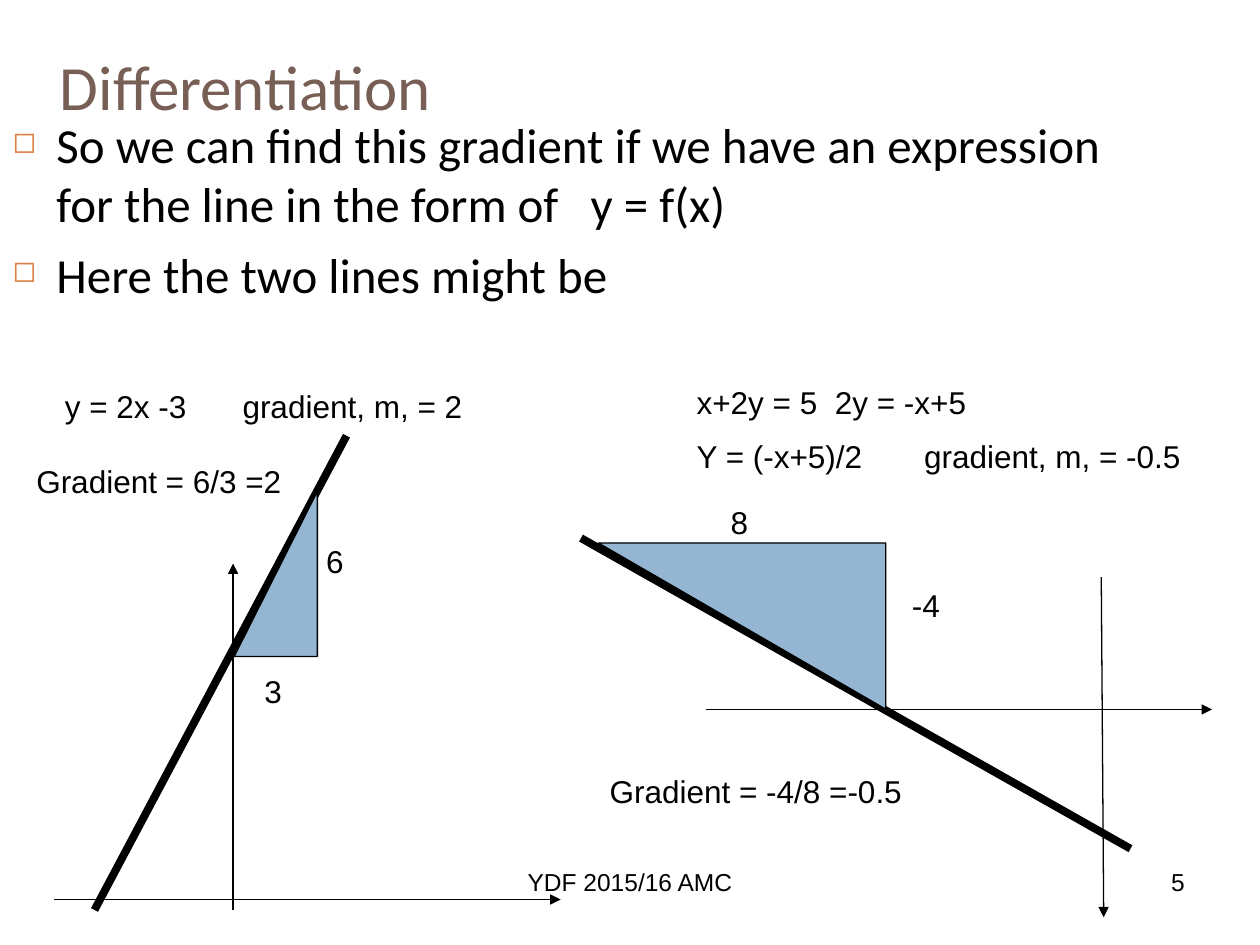
from pptx import Presentation
from pptx.dml.color import RGBColor
from pptx.enum.shapes import MSO_CONNECTOR as Conn, MSO_SHAPE as Shape
from pptx.enum.text import MSO_ANCHOR as Anchor, PP_ALIGN as Align
from pptx.oxml.ns import qn
from pptx.util import Pt
from lxml.etree import SubElement as Sub


def color(code):
    return RGBColor.from_string(code)


class Deck:
    ink, brown, blue, orange = "000000", "775F55", "94B6D2", "DD8047"
    sans, head = "Arial", "Calibri"

    def __init__(self, prs):
        self.slide = prs.slides.add_slide(prs.slide_layouts[5])
        self.shapes = self.slide.shapes

    def run(self, para, text, size, face, code):
        run = para.add_run()
        run.text = text
        font = run.font
        font.size, font.name = Pt(size), face
        font.color.rgb = color(code)

    def title(self, text, x, y, w, h):
        box = self.shapes.title
        box.left, box.top, box.width, box.height = map(Pt, (x, y, w, h))
        box.text_frame.vertical_anchor = Anchor.MIDDLE
        para = box.text_frame.paragraphs[0]
        para.alignment = Align.LEFT
        self.run(para, text, 36, self.head, self.brown)

    def text(self, lines, x, y, w, h=28.8, size=18, face=sans,
             align=Align.LEFT, gap=9.5, tabs=(), bullet=False):
        frame = self.shapes.add_textbox(*map(Pt, (x, y, w, h))).text_frame
        frame.word_wrap = True
        for i, line in enumerate(lines):
            para = frame.paragraphs[0] if i == 0 else frame.add_paragraph()
            props = para._p.get_or_add_pPr()
            if bullet:
                self.bullet(props)
            if i < len(tabs):
                stops = Sub(props, qn("a:tabLst"))
                Sub(stops, qn("a:tab"), pos=str(Pt(tabs[i])), algn="l")
            para.alignment = align
            if i:
                para.space_before = Pt(gap)
            self.run(para, line, size, face, self.ink)

    def bullet(self, props):
        props.set("marL", str(Pt(25.2)))
        props.set("indent", str(Pt(-25.2)))
        tint = Sub(props, qn("a:buClr"))
        Sub(tint, qn("a:srgbClr"), val=self.orange)
        Sub(props, qn("a:buSzPct"), val="60000")
        Sub(props, qn("a:buChar"), char="◻")

    def line(self, x1, y1, x2, y2, width=4.5, arrow=False):
        line = self.shapes.add_connector(
            Conn.STRAIGHT, *map(Pt, (x1, y1, x2, y2)))
        line.line.color.rgb = color(self.ink)
        line.line.width = Pt(width)
        if arrow:
            Sub(line.line._get_or_add_ln(), qn("a:tailEnd"), type="triangle")
        Sub(line._element.spPr, qn("a:effectLst"))

    def axis(self, *ends):
        self.line(*ends, width=0.75, arrow=True)

    def wedge(self, x, y, w, h, *flips):
        shape = self.shapes.add_shape(
            Shape.RIGHT_TRIANGLE, *map(Pt, (x, y, w, h)))
        shape.shadow.inherit = False
        shape.fill.solid()
        shape.fill.fore_color.rgb = color(self.blue)
        shape.line.color.rgb = color(self.ink)
        shape.line.width = Pt(0.75)
        for flip in flips:
            shape._element.spPr.xfrm.set(flip, "1")


def main():
    prs = Presentation()
    prs.slide_width, prs.slide_height = Pt(720), Pt(540)
    deck = Deck(prs)

    # Footer and page number
    deck.text(["YDF 2015/16 AMC"], 246, 492, 228, 37.5, 14, align=Align.CENTER)
    deck.text(["5"], 516, 492, 168, 37.5, 14, align=Align.RIGHT)

    # Title and bullets
    deck.title("Differentiation", 27, 21.6, 648, 54.7)
    deck.text(["So we can find this gradient if we have an expression "
               "for the line in the form of\ty = f(x)",
               "Here the two lines might be"],
              0, 62, 648, 458, 28, Deck.head, gap=7, tabs=[330.5],
              bullet=True)

    # The two sloping lines
    deck.line(54, 520, 198, 249)
    deck.line(332, 307.5, 646, 485)

    # Left graph: equation and axes
    deck.text(["y = 2x -3\tgradient, m, = 2"], 30, 217.5, 250, tabs=[101.5])
    deck.axis(133.2, 520, 133.2, 322)
    deck.axis(31, 514, 320.4, 514)

    # Right graph: equations and axes
    deck.text(["x+2y = 5\t2y = -x+5", "Y = (-x+5)/2\tgradient, m, = -0.5"],
              391, 215.3, 299, 61.2, tabs=[79, 130])
    deck.axis(629.3, 329.8, 630.7, 524.2)
    deck.axis(403.2, 405.4, 692.6, 405.4)

    # Gradient triangles
    deck.wedge(342, 310.3, 164.2, 95, "flipH", "flipV")
    deck.wedge(133.9, 280.8, 47.5, 94.3, "flipH")

    # Labels
    for label, x, y, w in (("6", 179.3, 306, 28.8),
                           ("3", 144, 380.2, 28.8),
                           ("Gradient = 6/3 =2", 13.7, 260.6, 165.6),
                           ("8", 410.4, 283.7, 49),
                           ("-4", 514, 331.2, 49),
                           ("Gradient = -4/8 =-0.5", 341.3, 437.8, 206.6)):
        deck.text([label], x, y, w)

    prs.save("out.pptx")


if __name__ == "__main__":
    main()
